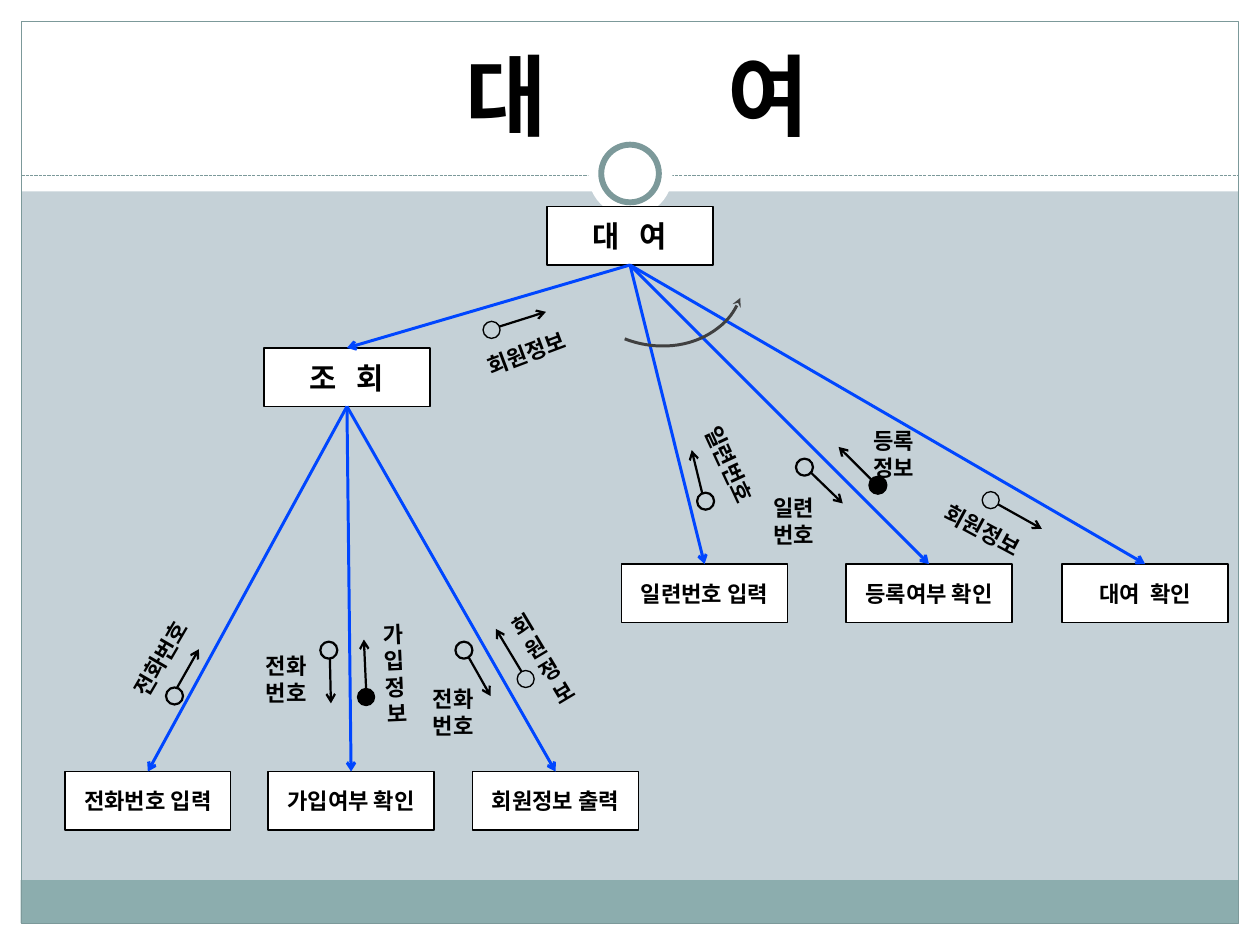
import lxml.etree
import pptx
import pptx.dml.color
import pptx.enum.dml
import pptx.enum.shapes
import pptx.enum.text
import pptx.oxml.ns
import pptx.util

Pt = pptx.util.Pt
RGB = pptx.dml.color.RGBColor
SHAPE = pptx.enum.shapes.MSO_SHAPE
ANCHOR = pptx.enum.text.MSO_ANCHOR
ALIGN = pptx.enum.text.PP_ALIGN
qn = pptx.oxml.ns.qn

FONT = "Noto Sans CJK KR"
WHITE = RGB(0xFF, 0xFF, 0xFF)
BLACK = RGB(0x00, 0x00, 0x00)
PALE = RGB(0xC5, 0xD1, 0xD7)
TEAL = RGB(0x8C, 0xAD, 0xAE)
EDGE = RGB(0x7C, 0x99, 0x9A)
BLUE = RGB(0x00, 0x46, 0xFF)
GREY = RGB(0x40, 0x40, 0x40)


def write(tf, text, size, align):
    tf.word_wrap = True
    tf.text = text
    for p in tf.paragraphs:
        p.alignment = align
        p.font.name = FONT
        p.font.size = Pt(size)
        p.font.bold = True
        p.font.color.rgb = BLACK
        lxml.etree.SubElement(p._p.pPr.defRPr, qn("a:ea"), typeface=FONT)


def style(sp, fill, color, width, **ends):
    if hasattr(sp, "fill"):
        sp.shadow.inherit = False
        if fill is None:
            sp.fill.background()
        else:
            sp.fill.solid()
            sp.fill.fore_color.rgb = fill
    if color is None:
        sp.line.fill.background()
    else:
        sp.line.color.rgb = color
        sp.line.width = Pt(width)
    for end, kind in ends.items():
        lxml.etree.SubElement(sp.line._ln, qn("a:" + end), type=kind)
    if not hasattr(sp, "fill"):
        lxml.etree.SubElement(sp._element.spPr, qn("a:effectLst"))


prs = pptx.Presentation()
prs.slide_width = Pt(852.48)
prs.slide_height = Pt(639.36)
s = prs.slides.add_slide(prs.slide_layouts[5])
s.background.fill.solid()
s.background.fill.fore_color.rgb = PALE
straight = pptx.enum.shapes.MSO_CONNECTOR.STRAIGHT

frame = [
    (SHAPE.RECTANGLE, 0, 625, 852.48, 14.36, WHITE, None, 0),
    (SHAPE.RECTANGLE, 0, 0, 852.48, 129.6, WHITE, None, 0),
    (SHAPE.RECTANGLE, 0, 0, 14.4, 639.36, WHITE, None, 0),
    (SHAPE.RECTANGLE, 838.08, 0, 14.4, 639.36, WHITE, None, 0),
    (SHAPE.RECTANGLE, 14, 595.5, 823.7, 29, TEAL, None, 0),
    (SHAPE.RECTANGLE, 14.4, 14.4, 823.7, 610.6, None, EDGE, 0.75),
]
rings = [
    (SHAPE.OVAL, 398, 89.3, 57, 57, WHITE, None, 0),
    (SHAPE.OVAL, 406.8, 97.9, 39, 39, WHITE, EDGE, 4),
]
for kind, x, y, w, h, fill, color, width in frame + rings:
    sp = s.shapes.add_shape(kind, Pt(x), Pt(y), Pt(w), Pt(h))
    style(sp, fill, color, width)
    if sp.shape_id and (kind, x) == (SHAPE.RECTANGLE, 14.4):
        rule = s.shapes.add_connector(straight, Pt(14.4), Pt(118.8), Pt(838.08), Pt(118.8))
        style(rule, None, EDGE, 0.75)
        rule.line.dash_style = pptx.enum.dml.MSO_LINE.SQUARE_DOT

title = s.shapes.title
title.left, title.top, title.width, title.height = Pt(26.6), Pt(33.1), Pt(795.6), Pt(70.6)
tf = title.text_frame
tf.margin_left = tf.margin_right = Pt(8.64)
tf.margin_top = tf.margin_bottom = Pt(4.32)
tf.vertical_anchor = ANCHOR.BOTTOM
tf.auto_size = pptx.enum.text.MSO_AUTO_SIZE.NONE
write(tf, " 대         여", 60, ALIGN.CENTER)
s.shapes.element.append(title.element)

boxes = {}
for text, x, y, size in [
    ("대   여", 370.1, 139.7, 20),
    ("조   회", 178.6, 235.4, 20),
    ("전화번호 입력", 43.9, 522, 15),
    ("가입여부 확인", 181.4, 522, 15),
    ("회원정보 출력", 319.7, 522, 15),
    ("일련번호 입력", 420.5, 381.6, 15),
    ("등록여부 확인", 572.4, 381.6, 15),
    ("대여  확인", 718.6, 381.6, 15),
]:
    sp = s.shapes.add_shape(SHAPE.RECTANGLE, Pt(x), Pt(y), Pt(112.3), Pt(39.6))
    style(sp, WHITE, BLACK, 0.9)
    sp.text_frame.vertical_anchor = ANCHOR.MIDDLE
    write(sp.text_frame, text, size, ALIGN.CENTER)
    boxes[text] = sp

for parent, children in [
    ("대   여", ["조   회", "일련번호 입력", "등록여부 확인", "대여  확인"]),
    ("조   회", ["전화번호 입력", "가입여부 확인", "회원정보 출력"]),
]:
    for child in children:
        link = s.shapes.add_connector(straight, 0, 0, 0, 0)
        link.begin_connect(boxes[parent], 2)
        link.end_connect(boxes[child], 0)
        style(link, None, BLUE, 2, tailEnd="arrow")

loop = s.shapes.add_shape(SHAPE.ARC, Pt(388.1), Pt(115.9), Pt(108), Pt(126))
loop.rotation = 111.1
style(loop, None, GREY, 2, headEnd="stealth")

for text, x, y, w, h, angle in [
    ("전화번호", 72, 429.8, 77, 25.2, 300.3),
    ("일련번호", 456.5, 305.3, 77, 25.2, 65.1),
    ("일련번호", 516.2, 331.2, 54.7, 43.9, 0),
    ("등록 정보", 583.9, 285.8, 67.7, 43.9, 0),
    ("전화\n번호", 172.8, 437.8, 53.3, 43.9, 0),
    ("가\n입\n정\n보", 253.4, 416.2, 27.4, 79.9, 357.5),
    ("회원정보", 321.1, 225.4, 74.2, 25.2, 339.3),
    ("전화번호", 285.8, 460.1, 52.6, 43.9, 0),
    ("회원정보", 630, 347, 74.2, 25.2, 28.3),
    ("회원\n정\n보", 353.5, 406.1, 27.4, 79.9, 329),
]:
    sp = s.shapes.add_textbox(Pt(x), Pt(y), Pt(w), Pt(h))
    sp.rotation = angle
    sp.text_frame.auto_size = pptx.enum.text.MSO_AUTO_SIZE.SHAPE_TO_FIT_TEXT
    write(sp.text_frame, text, 15, ALIGN.LEFT)

DOT = 11.5
for cx, cy, x1, y1, x2, y2, fill, width in [
    (594, 328.3, 589.7, 324.7, 567.4, 302.4, BLACK, 1.5),
    (118.1, 470.9, 119.5, 465.8, 134.6, 439.2, None, 1.5),
    (222.5, 439.9, 223.2, 445.7, 223.9, 475.9, None, 1.5),
    (477.4, 339.1, 475.2, 334.1, 468, 304.6, None, 1.5),
    (544.3, 316.1, 548.6, 319.7, 570.2, 340.6, None, 1.5),
    (247.7, 471.6, 247.7, 465.8, 246.2, 432.7, BLACK, 0.9),
    (332.6, 223.2, 337.7, 221, 369.4, 211, None, 0.9),
    (313.9, 439.9, 316.8, 444.2, 331.9, 470.9, None, 1.5),
    (670.3, 338.4, 675.4, 341.3, 704.9, 357.8, None, 0.9),
    (355.7, 459.4, 352.8, 454.3, 335.5, 425.5, None, 0.9),
]:
    couple = s.shapes.add_group_shape().shapes
    dot = couple.add_shape(SHAPE.FLOWCHART_CONNECTOR, Pt(cx - DOT / 2), Pt(cy - DOT / 2), Pt(DOT), Pt(DOT))
    style(dot, fill, BLACK, width)
    arrow = couple.add_connector(straight, Pt(x1), Pt(y1), Pt(x2), Pt(y2))
    style(arrow, None, BLACK, 1.5, tailEnd="arrow")

prs.save("out.pptx")
